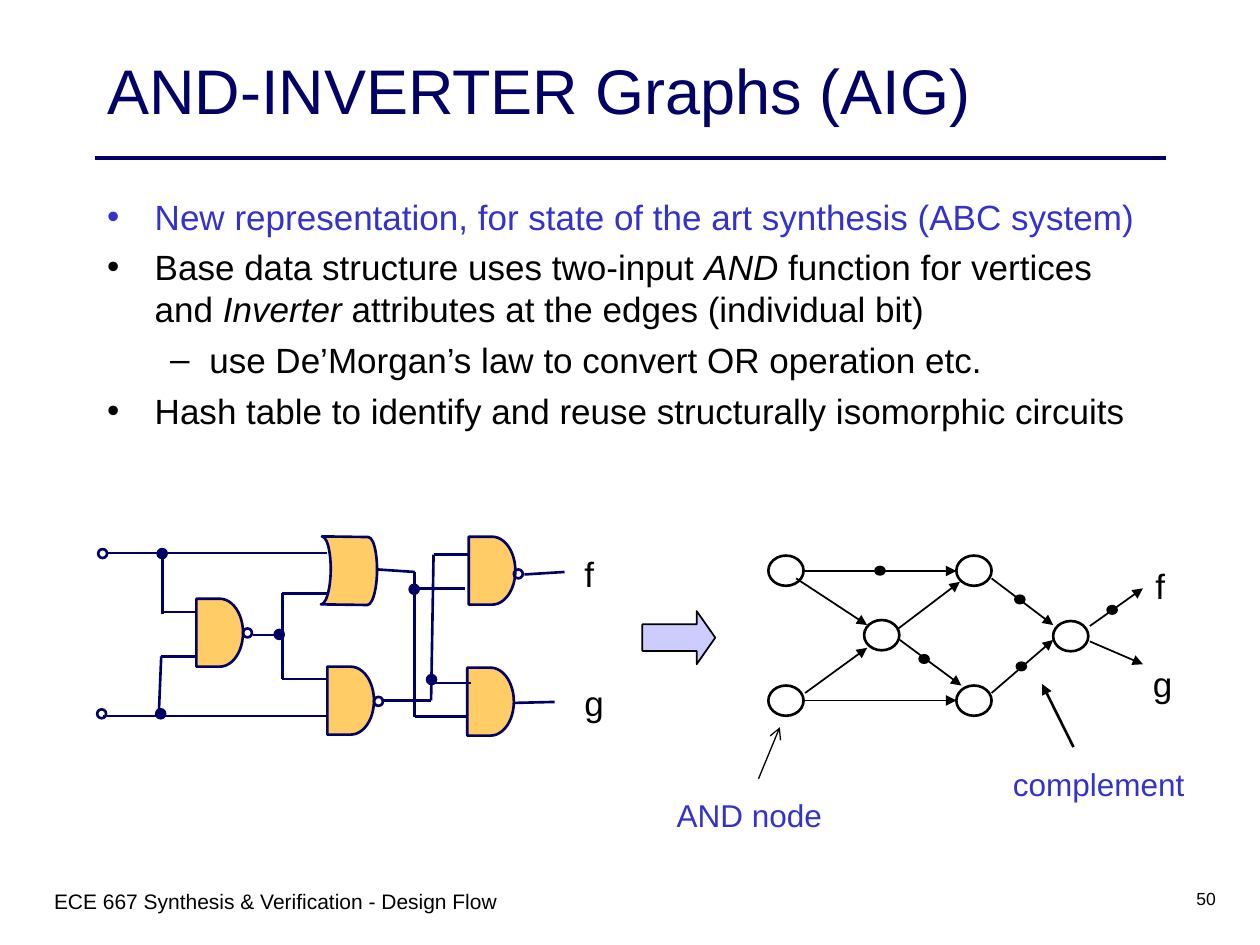
from typing import NamedTuple

from lxml.etree import SubElement
from pptx import Presentation
from pptx.dml.color import RGBColor
from pptx.enum.shapes import MSO_CONNECTOR, MSO_SHAPE as Preset
from pptx.enum.text import MSO_ANCHOR, PP_ALIGN as Align
from pptx.oxml.ns import qn
from pptx.util import Cm, Pt

NAVY, BLUE, BLACK = "000066", "3333CC", "000000"
ORANGE, LAVENDER = "FFCC66", "CCCCFF"
FONT = "Arial"


class Box(NamedTuple):
    left: float
    top: float
    width: float
    height: float

    def lengths(self) -> list:
        return [Cm(value) for value in self]


class Line(NamedTuple):
    x1: float
    y1: float
    x2: float
    y2: float
    color: str = NAVY
    width: float = 1.5
    head: str = ""


class Label(NamedTuple):
    text: str
    box: Box
    size: float = 20
    color: str = BLACK
    align: Align = Align.LEFT
    wrap: bool = False


class Bullet(NamedTuple):
    """Runs between asterisks are italic."""
    text: str
    color: str = BLACK
    sign: str = "•"
    margin: float = 0.96
    hanging: float = 0.96


def rgb(color: str) -> RGBColor:
    return RGBColor.from_string(color)


def style(font, size: float, color: str) -> None:
    font.name, font.size = FONT, Pt(size)
    font.color.rgb = rgb(color)


def draw_shape(shapes, preset, box: Box, fill: str = "", line: str = NAVY, width: float = 1.5):
    shape = shapes.add_shape(preset, *box.lengths())
    shape.shadow.inherit = False
    if fill:
        shape.fill.solid()
        shape.fill.fore_color.rgb = rgb(fill)
    else:
        shape.fill.background()
    shape.line.color.rgb = rgb(line)
    shape.line.width = Pt(width)
    return shape


def draw_line(shapes, line: Line) -> None:
    ends = [Cm(value) for value in line[:4]]
    connector = shapes.add_connector(MSO_CONNECTOR.STRAIGHT, *ends)
    connector.line.color.rgb = rgb(line.color)
    connector.line.width = Pt(line.width)
    if line.head:
        SubElement(connector.line._get_or_add_ln(), qn("a:tailEnd"), type=line.head)
    SubElement(connector._element.spPr, qn("a:effectLst"))


def draw_label(shapes, label: Label) -> None:
    frame = shapes.add_textbox(*label.box.lengths()).text_frame
    frame.word_wrap = label.wrap
    paragraph = frame.paragraphs[0]
    paragraph.text, paragraph.alignment = label.text, label.align
    style(paragraph.font, label.size, label.color)


def write_bullet(paragraph, bullet: Bullet) -> None:
    properties = paragraph._p.get_or_add_pPr()
    properties.set("marL", str(Cm(bullet.margin)))
    properties.set("indent", str(-Cm(bullet.hanging)))
    SubElement(properties, qn("a:buFont"), typeface=FONT)
    SubElement(properties, qn("a:buChar"), char=bullet.sign)
    style(paragraph.font, 20, bullet.color)
    for index, part in enumerate(bullet.text.split("*")):
        run = paragraph.add_run()
        run.text = part
        if index % 2:
            run.font.italic = True


def write_texts(slide) -> None:
    title = slide.shapes.title
    title.left, title.top, title.width, title.height = Box(1.91, 0.43, 21.59, 2.74).lengths()
    title.text_frame.vertical_anchor = MSO_ANCHOR.MIDDLE
    heading = title.text_frame.paragraphs[0]
    heading.text, heading.alignment = "AND-INVERTER Graphs (AIG)", Align.LEFT
    style(heading.font, 36, NAVY)
    draw_line(slide.shapes, Line(1.91, 3.18, 23.5, 3.18, width=2.25))

    bullets = [
        Bullet("New representation, for state of the art synthesis (ABC system)", BLUE),
        Bullet("Base data structure uses two-input *AND* function for vertices and "
               "*Inverter* attributes at the edges (individual bit)"),
        Bullet("use De’Morgan’s law to convert OR operation etc.", sign="–",
               margin=2.06, hanging=0.79),
        Bullet("Hash table to identify and reuse structurally isomorphic circuits"),
    ]
    body = slide.shapes.add_textbox(*Box(1.91, 3.81, 21.59, 13.13).lengths()).text_frame
    body.word_wrap = True
    for index, bullet in enumerate(bullets):
        paragraph = body.add_paragraph() if index else body.paragraphs[0]
        write_bullet(paragraph, bullet)
        if index:
            paragraph.space_before = Pt(5)
            paragraph.level = int(bullet.sign == "–")

    draw_label(slide.shapes, Label("ECE 667 Synthesis & Verification - Design Flow",
                                   Box(0.84, 17.78, 11.43, 1.27), 12, wrap=True))
    draw_label(slide.shapes, Label("50", Box(19.48, 17.78, 5.28, 1.27), 10,
                                   align=Align.RIGHT, wrap=True))


def draw_circuit(shapes) -> None:
    for left, top in [(3.96, 12.07), (6.6, 13.44), (9.42, 13.46), (9.45, 10.82)]:
        draw_shape(shapes, Preset.FLOWCHART_DELAY, Box(left, top, 0.94, 1.37), ORANGE)
    or_gate = draw_shape(shapes, Preset.FLOWCHART_STORED_DATA,
                         Box(6.48, 10.82, 1.12, 1.37), ORANGE)
    or_gate.rotation = 180.8

    wires = [
        (2.16, 11.15, 6.6, 11.15), (2.08, 14.43, 6.6, 14.43),
        (3.28, 11.15, 3.28, 12.37), (3.25, 12.34, 3.96, 12.34),
        (3.25, 13.23, 3.2, 14.43), (3.25, 13.23, 3.96, 13.23),
        (5.11, 12.8, 5.69, 12.8), (5.69, 11.96, 5.69, 13.69),
        (5.69, 11.96, 6.6, 11.96), (5.69, 13.69, 6.6, 13.69),
        (7.62, 11.48, 8.36, 11.53), (8.36, 11.53, 8.36, 14.45),
        (8.36, 11.86, 9.37, 11.86), (8.36, 14.45, 9.4, 14.45),
        (7.72, 14.12, 8.69, 14.12), (8.74, 11.18, 8.69, 14.12),
        (8.74, 11.18, 9.45, 11.18), (8.74, 13.77, 9.5, 13.77),
        (10.57, 11.58, 11.38, 11.53), (10.36, 14.17, 11.18, 14.15),
    ]
    for wire in wires:
        draw_line(shapes, Line(*wire))

    inverters = [(4.9, 12.67), (7.54, 14.05), (10.36, 11.48)]
    inputs = [(1.98, 11.07), (1.96, 14.3)]
    junctions = [(3.15, 14.3), (3.18, 11.07), (5.54, 12.7), (8.61, 13.61), (8.26, 11.79)]
    for fill, spots in (("", inverters + inputs), (NAVY, junctions)):
        for spot in spots:
            draw_shape(shapes, Preset.OVAL, Box(*spot, 0.18, 0.18), fill)


def draw_graph(shapes) -> None:
    nodes = [(15.49, 11.2), (15.49, 13.82), (17.42, 12.5),
             (19.28, 11.2), (19.28, 13.82), (21.23, 12.52)]
    for node in nodes:
        draw_shape(shapes, Preset.OVAL, Box(*node, 0.71, 0.61), line=BLACK)

    edges = [
        (16.23, 11.51, 19.28, 11.51), (16.05, 11.66, 17.48, 12.6),
        (16.23, 13.97, 17.48, 13.06), (16.23, 14.12, 19.28, 14.12),
        (18.11, 12.67, 19.35, 11.73), (18.14, 12.9, 19.38, 13.82),
        (19.99, 11.66, 21.23, 12.6), (19.99, 13.97, 21.23, 12.9),
        (21.97, 12.62, 23.04, 11.86), (21.97, 12.93, 23.04, 13.39),
    ]
    for edge in edges:
        draw_line(shapes, Line(*edge, BLACK, 1, "triangle"))
    draw_line(shapes, Line(21.64, 15.06, 21.01, 13.79, BLACK, 1.5, "triangle"))
    draw_line(shapes, Line(15.29, 15.7, 15.72, 14.66, BLACK, 0.75, "arrow"))

    complements = [(18.54, 13.21), (17.65, 11.43), (20.5, 13.36), (20.47, 12.01), (22.33, 12.22)]
    for spot in complements:
        draw_shape(shapes, Preset.OVAL, Box(*spot, 0.18, 0.15), BLACK, BLACK)


def main() -> None:
    deck = Presentation()
    deck.slide_width, deck.slide_height = Cm(25.4), Cm(19.05)
    slide = deck.slides.add_slide(deck.slide_layouts[5])
    shapes = slide.shapes
    write_texts(slide)
    draw_circuit(shapes)
    becomes = draw_shape(shapes, Preset.RIGHT_ARROW, Box(12.95, 12.32, 1.47, 1.07),
                         LAVENDER, BLACK, 1)
    becomes.adjustments[1] = 0.35
    draw_graph(shapes)
    for label in [
        Label("f", Box(11.53, 11.02, 0.69, 1.12)),
        Label("g", Box(11.53, 13.61, 0.89, 1.12)),
        Label("f", Box(23.04, 11.25, 0.69, 1.12)),
        Label("g", Box(22.99, 13.23, 0.89, 1.12)),
        Label("complement", Box(20.17, 15.29, 3.96, 1.02), 18, BLUE),
        Label("AND node", Box(13.39, 15.93, 3.61, 1.02), 18, BLUE),
    ]:
        draw_label(shapes, label)
    deck.save("out.pptx")


if __name__ == "__main__":
    main()
